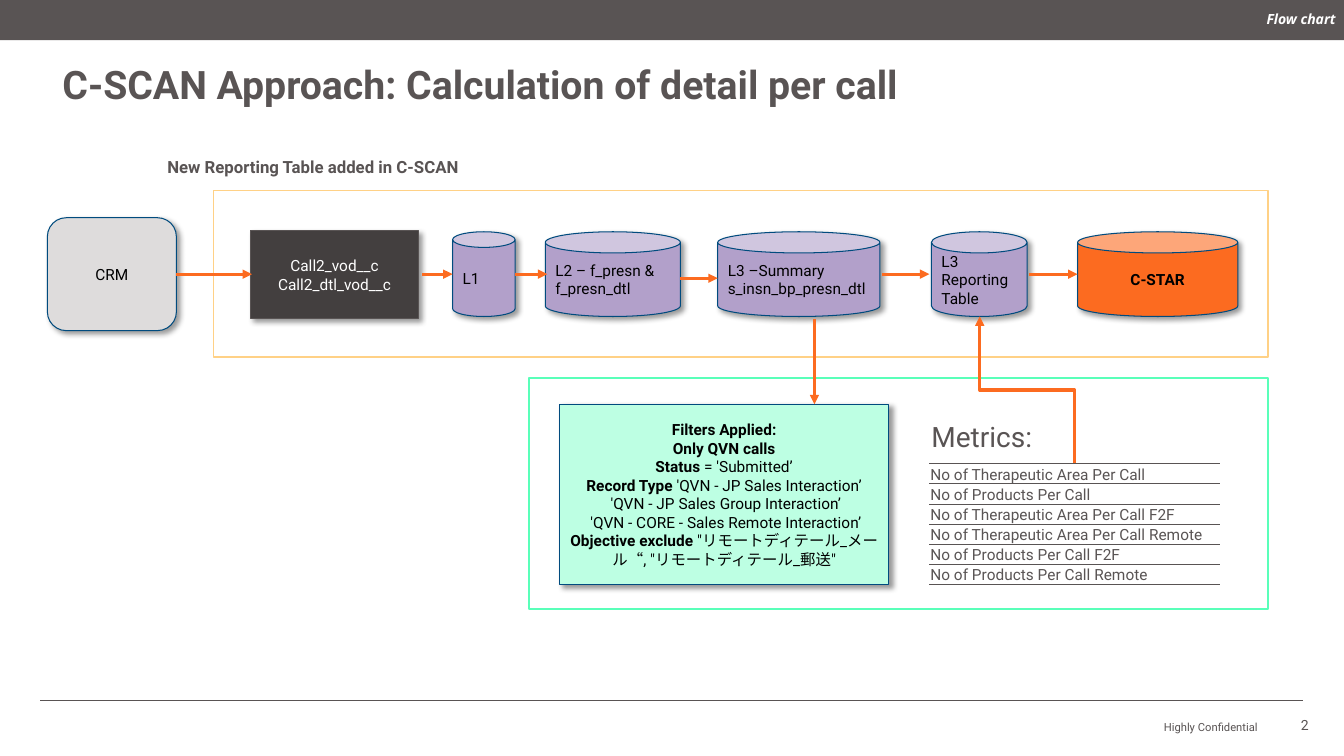
import dataclasses

import lxml.etree
import pptx
import pptx.dml.color
import pptx.enum.shapes
import pptx.enum.text
import pptx.oxml
import pptx.oxml.ns
import pptx.util

RGB = pptx.dml.color.RGBColor
SHAPE = pptx.enum.shapes.MSO_SHAPE
LINE = pptx.enum.shapes.MSO_CONNECTOR
ALIGN = pptx.enum.text.PP_ALIGN
ANCHOR = pptx.enum.text.MSO_ANCHOR
qn = pptx.oxml.ns.qn

WHITE = RGB(0xFF, 0xFF, 0xFF)
BLACK = RGB(0, 0, 0)
SLATE = RGB(0x59, 0x54, 0x54)
CHARCOAL = RGB(0x43, 0x3F, 0x3F)
GREY = RGB(0xDE, 0xDC, 0xDC)
NAVY = RGB(0x00, 0x4B, 0x7E)
PURPLE = RGB(0xB2, 0xA0, 0xCA)
ORANGE = RGB(0xFC, 0x6B, 0x20)
MINT = RGB(0xBD, 0xFF, 0xE3)
GREEN = RGB(0x59, 0xFF, 0xB9)
YELLOW = RGB(0xFF, 0xD1, 0x86)

# Grid: 160 columns by 90 rows, twelve to the inch
COLS, ROWS, PER_INCH = 160, 90, 12
FLOW_Y = 32.64
CAN_TOP, CAN_H = 27.6, 10.08

Runs = list[tuple[str, bool]]


def u(n: float) -> int:
    """Grid units to EMU."""
    return pptx.util.Inches(n / PER_INCH)


@dataclasses.dataclass
class Box:
    x: float
    y: float
    w: float
    h: float

    def emu(self) -> list[int]:
        return [u(n) for n in (self.x, self.y, self.w, self.h)]


@dataclasses.dataclass
class Node:
    box: Box
    kind: int
    fill: RGB
    paras: list[Runs]
    color: RGB = BLACK
    align: int = ALIGN.CENTER
    line: RGB = NAVY


@dataclasses.dataclass
class Label:
    box: Box
    text: str
    size: float
    bold: bool = False
    align: int = ALIGN.LEFT
    anchor: int = ANCHOR.TOP
    inset: float = 0
    color: RGB = SLATE
    font: str = "Roboto"
    italic: bool = False
    spacing: float = 1.0


@dataclasses.dataclass
class Arrow:
    x1: float
    y1: float
    x2: float
    y2: float


def apply(target, values: dict) -> None:
    for name, value in values.items():
        setattr(target, name, value)


def set_frame(tf, anchor: int, inset: float) -> None:
    apply(tf, {"word_wrap": True, "vertical_anchor": anchor})
    apply(tf, {f"margin_{side}": u(inset) for side in ("left", "right", "top", "bottom")})


def add_run(p, text: str, size: float, color: RGB, **extra) -> None:
    r = p.add_run()
    r.text = text
    apply(r.font, {"name": "Roboto", "size": pptx.util.Pt(size), **extra})
    r.font.color.rgb = color


def add_rect(box: Box, kind: int, fill: RGB, line: RGB | None, width: float = 1):
    sp = slide.shapes.add_shape(kind, *box.emu())
    sp.shadow.inherit = False
    sp.fill.solid()
    sp.fill.fore_color.rgb = fill
    if line is None:
        sp.line.fill.background()
    else:
        sp.line.color.rgb = line
        sp.line.width = pptx.util.Pt(width)
    return sp


def add_node(n: Node) -> None:
    sp = add_rect(n.box, n.kind, n.fill, n.line, 0.75)
    effects = sp._element.spPr.find(qn("a:effectLst"))
    shadow = lxml.etree.SubElement(effects, qn("a:outerShdw"), blurRad="50800",
                                   dist="38100", dir="2700000", algn="tl", rotWithShape="0")
    clr = lxml.etree.SubElement(shadow, qn("a:srgbClr"), val="000000")
    lxml.etree.SubElement(clr, qn("a:alpha"), val="40000")
    tf = sp.text_frame
    set_frame(tf, ANCHOR.MIDDLE, 1.2)
    for i, runs in enumerate(n.paras):
        p = tf.add_paragraph() if i else tf.paragraphs[0]
        p.alignment = n.align
        for text, bold in runs:
            add_run(p, text, 11, n.color, bold=bold)


def add_label(t: Label) -> None:
    tf = slide.shapes.add_textbox(*t.box.emu()).text_frame
    set_frame(tf, t.anchor, t.inset)
    p = tf.paragraphs[0]
    apply(p, {"alignment": t.align, "line_spacing": t.spacing})
    add_run(p, t.text, t.size, t.color, name=t.font, bold=t.bold, italic=t.italic)


def add_line(a: Arrow, kind: int = LINE.STRAIGHT, color: RGB = ORANGE,
             width: float = 2.25, head: bool = True):
    c = slide.shapes.add_connector(kind, u(a.x1), u(a.y1), u(a.x2), u(a.y2))
    c.line.color.rgb = color
    c.line.width = pptx.util.Pt(width)
    spPr = c._element.spPr
    if head:
        lxml.etree.SubElement(spPr.find(qn("a:ln")), qn("a:tailEnd"), type="triangle")
    lxml.etree.SubElement(spPr, qn("a:effectLst"))
    return c


def add_metrics(box: Box, metrics: list[str]) -> None:
    tbl = slide.shapes.add_table(len(metrics), 1, *box.emu()).table
    apply(tbl, {"first_row": False, "horz_banding": False})
    for i, text in enumerate(metrics):
        tbl.rows[i].height = u(box.h / len(metrics))
        cell = tbl.cell(i, 0)
        apply(cell, {"margin_left": u(0.12), "margin_right": u(0.12), "margin_top": u(0.12),
                     "margin_bottom": 0, "vertical_anchor": ANCHOR.BOTTOM})
        cell.fill.background()
        add_run(cell.text_frame.paragraphs[0], text, 11, SLATE)
        for k, side in enumerate(("lnL", "lnR", "lnT", "lnB")):
            ln = lxml.etree.Element(qn(f"a:{side}"), w="6350")
            if side in ("lnT", "lnB"):
                fill = lxml.etree.SubElement(ln, qn("a:solidFill"))
                lxml.etree.SubElement(fill, qn("a:srgbClr"), val=str(SLATE))
            else:
                lxml.etree.SubElement(ln, qn("a:noFill"))
            cell._tc.tcPr.insert(k, ln)


def can(x: float, w: float, text: str) -> Node:
    return Node(Box(x, CAN_TOP, w, CAN_H), SHAPE.CAN, PURPLE, [[(text, False)]], align=ALIGN.LEFT)


prs = pptx.Presentation()
prs.slide_width, prs.slide_height = u(COLS), u(ROWS)
slide = prs.slides.add_slide(prs.slide_layouts[6])

# Frames and header bar
add_rect(Box(63, 45, 87.96, 27.48), SHAPE.RECTANGLE, WHITE, GREEN)
add_rect(Box(25.44, 22.68, 125.52, 19.8), SHAPE.RECTANGLE, WHITE, YELLOW)
add_rect(Box(0, 0, COLS, 4.8), SHAPE.RECTANGLE, SLATE, None)

# Flow steps and filters
FILTERS = [
    [("Filters Applied:", True)],
    [("Only QVN calls", True)],
    [("Status", True), (" = 'Submitted’", False)],
    [("Record Type", True), (" 'QVN - JP Sales Interaction’", False)],
    [(" 'QVN - JP Sales Group Interaction’", False)],
    [(" 'QVN - CORE - Sales Remote Interaction’", False)],
    [("Objective exclude ", True), ("\"リモートディテール_メール“, \"リモートディテール_郵送\"", False)],
]
for node in (
    Node(Box(5.64, 25.92, 15.36, 13.44), SHAPE.ROUNDED_RECTANGLE, GREY, [[("CRM", False)]]),
    Node(Box(29.88, 27.48, 19.92, 10.44), SHAPE.RECTANGLE, CHARCOAL,
         [[("Call2_vod__c", False)], [("Call2_dtl_vod__c", False)]], WHITE, line=SLATE),
    can(53.88, 7.44, "L1"),
    can(64.92, 16.08, "L2 – f_presn & f_presn_dtl"),
    can(85.44, 19.32, "L3 –Summary s_insn_bp_presn_dtl"),
    can(110.88, 11.4, "L3 Reporting Table"),
    Node(Box(128.28, CAN_TOP, 19.08, CAN_H), SHAPE.CAN, ORANGE, [[("C-STAR", True)]]),
    Node(Box(66.6, 48.12, 39.24, 21.48), SHAPE.RECTANGLE, MINT, FILTERS),
):
    add_node(node)

# Arrows
for x1, x2, y in ((21, 30, FLOW_Y), (50.28, 53.88, FLOW_Y), (61.32, 65.16, FLOW_Y),
                  (81, 85.44, 33.12), (105, 110.64, FLOW_Y), (122.52, 128.28, FLOW_Y)):
    add_line(Arrow(x1, y, x2, y))
add_line(Arrow(96.96, 37.92, 96.96, 48.12))
elbow = add_line(Arrow(113.52, 52.08, 131.04, 40.8), LINE.ELBOW)
elbow._element.spPr.find(qn("a:xfrm")).set("rot", str(270 * 60000))
add_line(Arrow(4.8, 83.4, 155.16, 83.4), color=SLATE, width=0.5, head=False)

# Metrics table
add_metrics(Box(110.64, 55.2, 34.56, 14.4), [
    "No of Therapeutic Area Per Call", "No of Products Per Call",
    "No of Therapeutic Area Per Call F2F", "No of Therapeutic Area Per Call Remote",
    "No of Products Per Call F2F", "No of Products Per Call Remote"])

# Title, captions and footer
for label in (
    Label(Box(7.44, 7.8, 145.2, 6.84), "C-SCAN Approach: Calculation of detail per call",
          28, True, spacing=0.9),
    Label(Box(18.72, 17.52, 51.96, 4.8), "New Reporting Table added in C-SCAN", 12, True, inset=1.2),
    Label(Box(110.88, 49.92, 15.84, 6.72), "Metrics:", 20),
    Label(Box(129, 0, 30, 4.6), "Flow chart", 10, True, ALIGN.RIGHT, ANCHOR.MIDDLE,
          color=WHITE, font="Open Sans", italic=True),
    Label(Box(107.64, 84.36, 42.12, 3), "Highly Confidential", 8, False, ALIGN.RIGHT, ANCHOR.BOTTOM),
    Label(Box(153.24, 84.72, 4.2, 3), "2", 10, inset=0.6, align=ALIGN.CENTER),
):
    add_label(label)

prs.save("out.pptx")
